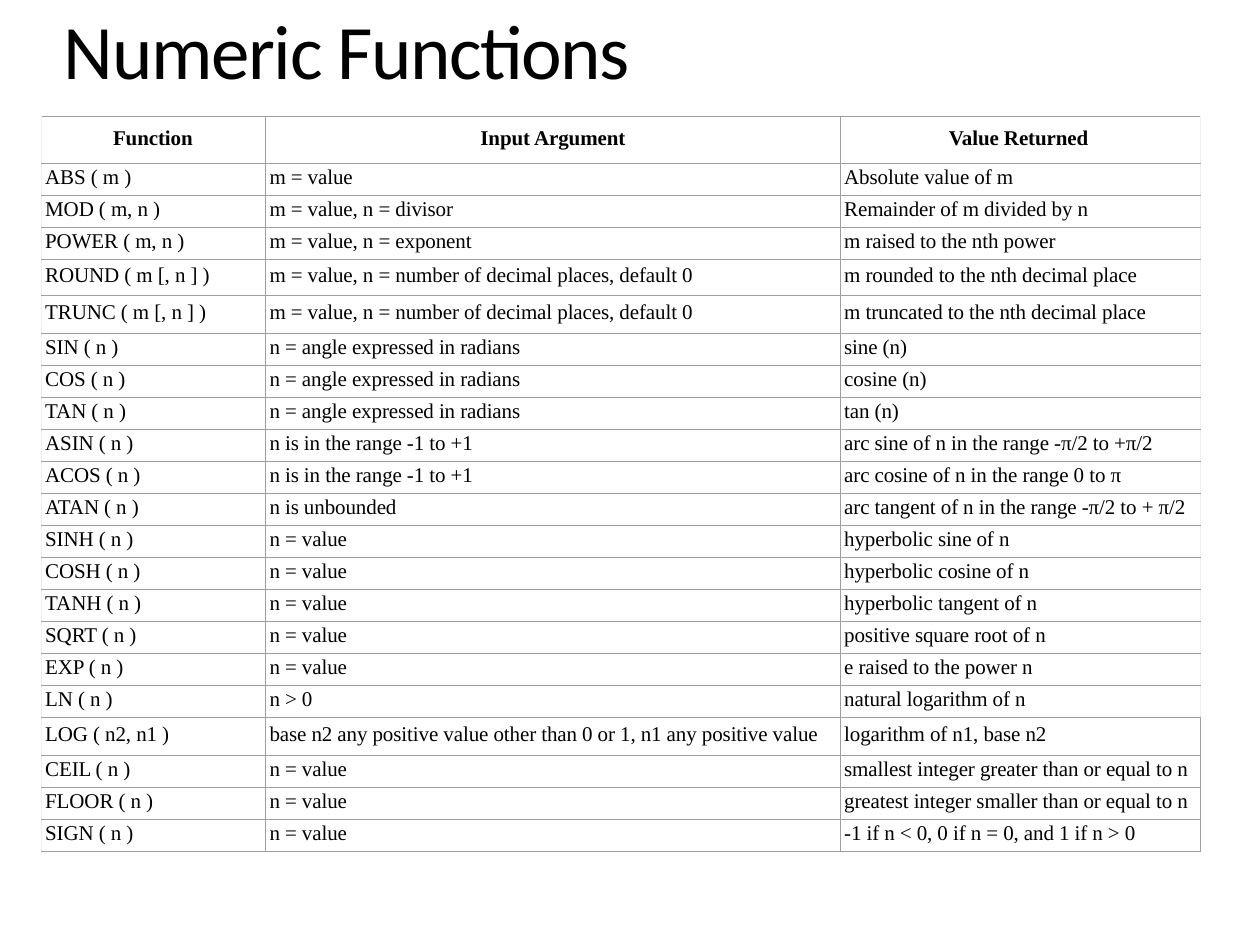
"""Build the slide that lists the SQL numeric functions in one table."""
from dataclasses import dataclass

from lxml.etree import SubElement
from pptx import Presentation
from pptx.dml.color import RGBColor
from pptx.enum.text import MSO_ANCHOR, MSO_AUTO_SIZE, PP_ALIGN
from pptx.oxml.ns import qn
from pptx.util import Pt


@dataclass(frozen=True)
class Theme:
    ink: str = "000000"
    rule: str = "9F9F9F"
    pale_rule: str = "EFEFEF"
    title_font: str = "Calibri"
    table_font: str = "Times New Roman"
    title_size: float = 44
    table_size: float = 12
    rule_width: float = 0.75
    title_tracking: int = -80
    table_tracking: int = -5


COLUMN_WIDTHS = (128.2, 328.4, 206)
HEADER_HEIGHT, HEADER_SPACE, HEADER_INDENTS = 26.5, 5.5, (41, 0, 62)
ROW_HEIGHT, ROW_SPACE, ROW_INDENT = 18.3, 1.35, 2.2
TALL_ROWS = {"ROUND": (20.5, 2.4), "TRUNC": (21.9, 3.2), "LOG": (21.6, 3)}
FIRST_CLOSED_ROW = 18

HEADINGS = ("Function", "Input Argument", "Value Returned")
DECIMALS = "m = value, n = number of decimal places, default 0"
RADIANS = "n = angle expressed in radians"
UNIT_RANGE = "n is in the range -1 to +1"
FUNCTIONS = (
    ("ABS ( m )", "m = value", "Absolute value of m"),
    ("MOD ( m, n )", "m = value, n = divisor", "Remainder of m divided by n"),
    ("POWER ( m, n )", "m = value, n = exponent", "m raised to the nth power"),
    ("ROUND ( m [, n ] )", DECIMALS, "m rounded to the nth decimal place"),
    ("TRUNC ( m [, n ] )", DECIMALS, "m truncated to the nth decimal place"),
    ("SIN ( n )", RADIANS, "sine (n)"),
    ("COS ( n )", RADIANS, "cosine (n)"),
    ("TAN ( n )", RADIANS, "tan (n)"),
    ("ASIN ( n )", UNIT_RANGE, "arc sine of n in the range -π/2 to +π/2"),
    ("ACOS ( n )", UNIT_RANGE, "arc cosine of n in the range 0 to π"),
    ("ATAN ( n )", "n is unbounded", "arc tangent of n in the range -π/2 to + π/2"),
    ("SINH ( n )", "n = value", "hyperbolic sine of n"),
    ("COSH ( n )", "n = value", "hyperbolic cosine of n"),
    ("TANH ( n )", "n = value", "hyperbolic tangent of n"),
    ("SQRT ( n )", "n = value", "positive square root of n"),
    ("EXP ( n )", "n = value", "e raised to the power n"),
    ("LN ( n )", "n > 0", "natural logarithm of n"),
    ("LOG ( n2, n1 )",
     "base n2 any positive value other than 0 or 1, n1 any positive value",
     "logarithm of n1, base n2"),
    ("CEIL ( n )", "n = value", "smallest integer greater than or equal to n"),
    ("FLOOR ( n )", "n = value", "greatest integer smaller than or equal to n"),
    ("SIGN ( n )", "n = value", "-1 if n < 0, 0 if n = 0, and 1 if n > 0"),
)


def apply(target, values):
    for key, value in values.items():
        setattr(target, key, value)


class SlideBuilder:
    def __init__(self, slide, theme):
        self.slide = slide
        self.theme = theme

    def wording(self, paragraph, words, font, size, tracking, bold=False):
        run = paragraph.add_run()
        run.text = words
        apply(run.font, {"name": font, "size": Pt(size), "bold": bold})
        run.font.color.rgb = RGBColor.from_string(self.theme.ink)
        run.font._element.set("spc", str(tracking))

    def title(self, words, left, top, width, height):
        heading = self.slide.shapes.title
        apply(heading, {"left": Pt(left), "top": Pt(top),
                        "width": Pt(width), "height": Pt(height)})
        frame = heading.text_frame
        apply(frame, {"margin_left": 0, "margin_top": Pt(1), "margin_right": 0,
                      "margin_bottom": 0, "word_wrap": True,
                      "vertical_anchor": MSO_ANCHOR.MIDDLE,
                      "auto_size": MSO_AUTO_SIZE.SHAPE_TO_FIT_TEXT})
        line = frame.paragraphs[0]
        apply(line, {"alignment": PP_ALIGN.CENTER, "space_before": Pt(1)})
        self.wording(line, words, self.theme.title_font,
                     self.theme.title_size, self.theme.title_tracking)

    def borders(self, cell, left, right):
        properties = cell._tc.get_or_add_tcPr()
        colours = {"L": left, "R": right, "T": self.theme.rule, "B": self.theme.rule}
        for side, colour in colours.items():
            edge = SubElement(properties, qn(f"a:ln{side}"),
                              w=str(Pt(self.theme.rule_width)))
            SubElement(SubElement(edge, qn("a:solidFill")), qn("a:srgbClr"), val=colour)

    def cell(self, cell, words, space, indent, left, right, heading):
        self.borders(cell, left, right)
        cell.fill.background()
        apply(cell, {"margin_left": 0, "margin_top": Pt(space),
                     "margin_right": 0, "margin_bottom": 0})
        line = cell.text_frame.paragraphs[0]
        apply(line, {"alignment": PP_ALIGN.LEFT if indent else PP_ALIGN.CENTER,
                     "space_before": Pt(space)})
        line._p.get_or_add_pPr().set("marL", str(Pt(indent)))
        self.wording(line, words, self.theme.table_font, self.theme.table_size,
                     self.theme.table_tracking, heading)

    def table(self, headings, functions, left, top):
        entries = (headings, *functions)
        measures = [(HEADER_HEIGHT, HEADER_SPACE)]
        measures += [TALL_ROWS.get(entry[0].split()[0], (ROW_HEIGHT, ROW_SPACE))
                     for entry in functions]
        grid = self.slide.shapes.add_table(
            len(entries), len(headings), Pt(left), Pt(top),
            Pt(sum(COLUMN_WIDTHS)), Pt(sum(height for height, _ in measures))).table
        apply(grid, {"first_row": False, "horz_banding": False})
        for column, width in zip(grid.columns, COLUMN_WIDTHS):
            column.width = Pt(width)
        last = len(headings) - 1
        for number, (entry, (height, space)) in enumerate(zip(entries, measures)):
            grid.rows[number].height = Pt(height)
            heading = number == 0
            for position, words in enumerate(entry):
                is_open = position == last and number < FIRST_CLOSED_ROW
                self.cell(grid.cell(number, position), words, space,
                          HEADER_INDENTS[position] if heading else ROW_INDENT,
                          self.theme.rule if position else self.theme.pale_rule,
                          self.theme.pale_rule if is_open else self.theme.rule,
                          heading)


def main():
    deck = Presentation()
    apply(deck, {"slide_width": Pt(720), "slide_height": Pt(540)})
    builder = SlideBuilder(deck.slides.add_slide(deck.slide_layouts[5]), Theme())
    builder.title("Numeric Functions", 25.2, 0, 346.3, 54.7)
    builder.table(HEADINGS, FUNCTIONS, 23.6, 66.8)
    deck.save("out.pptx")


if __name__ == "__main__":
    main()
